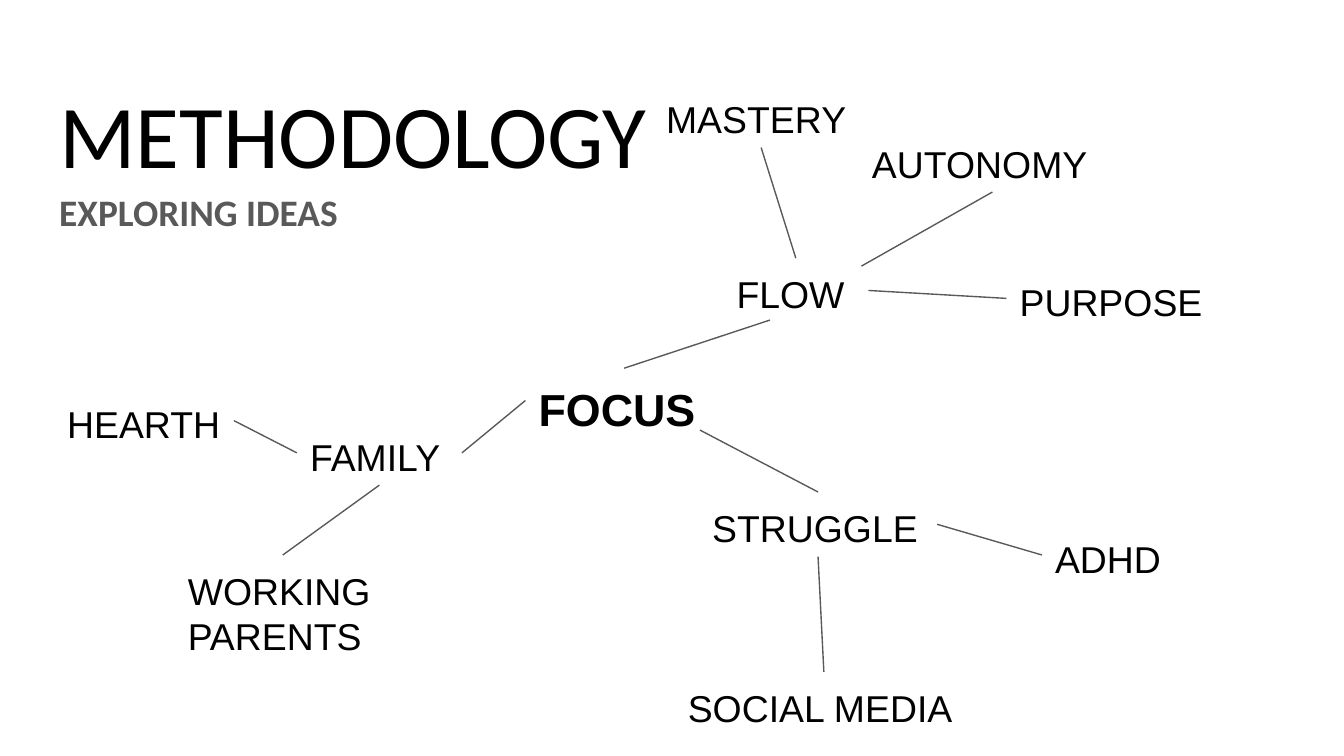
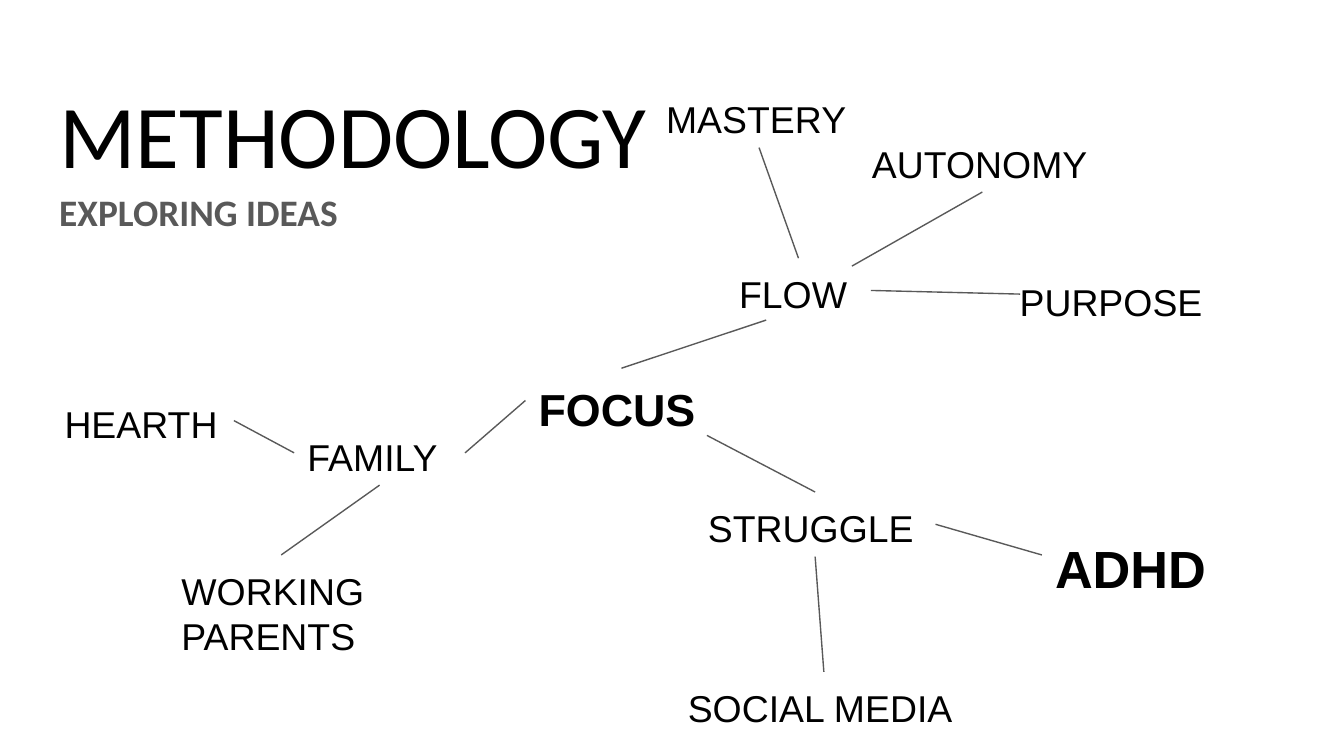
from lxml.etree import SubElement
from pptx import Presentation
from pptx.dml.color import RGBColor
from pptx.enum.shapes import MSO_CONNECTOR
from pptx.oxml.ns import qn
from pptx.util import Cm, Pt

COLORS = {"ink": "000000", "gray": "595959", "paper": "FFFFFF"}
TOP, LEFT, BOTTOM, RIGHT = range(4)


def add_label(slide, text, left, top, width, height, size, bold=False, font="Arial", color="ink"):
    label = slide.shapes.add_textbox(Cm(left), Cm(top), Cm(width), Cm(height))
    frame = label.text_frame
    frame.word_wrap = True
    frame.margin_left = frame.margin_right = Cm(0.25)
    frame.margin_top = frame.margin_bottom = Cm(0.25)
    paragraph = frame.paragraphs[0]
    paragraph.text = text
    paragraph.font.name = font
    paragraph.font.size = Pt(size)
    paragraph.font.bold = bold
    paragraph.font.color.rgb = RGBColor.from_string(COLORS[color])
    return label


def add_link(slide, ideas, start, end):
    points = [(0, 0) if isinstance(place[0], str) else place for place in (start, end)]
    link = slide.shapes.add_connector(
        MSO_CONNECTOR.STRAIGHT, *[Cm(value) for point in points for value in point])
    for place, join in ((start, link.begin_connect), (end, link.end_connect)):
        if isinstance(place[0], str):
            join(ideas[place[0]], place[1])
    link.line.color.rgb = RGBColor.from_string(COLORS["gray"])
    link.line.width = Pt(0.75)
    SubElement(link._element.spPr, qn("a:effectLst"))


idea_tops = {
    "FOCUS": 6.96, "FLOW": 4.88, "STRUGGLE": 9.3, "FAMILY": 7.95,
    "SOCIAL MEDIA": 12.7, "ADHD": 9.88, "MASTERY": 1.57, "AUTONOMY": 2.41,
    "PURPOSE": 5.03, "HEARTH": 7.34, "WORKING PARENTS": 10.49,
}
idea_heights = {"WORKING PARENTS": 2.18}

maps = [
    {
        "spans": {
            "FOCUS": (9.93, 3.73), "FLOW": (13.67, 2.74), "STRUGGLE": (13.21, 4.5),
            "FAMILY": (5.61, 3.12), "SOCIAL MEDIA": (12.75, 5.64), "ADHD": (19.69, 2.74),
            "MASTERY": (12.34, 4.09), "AUTONOMY": (16.23, 5.05), "PURPOSE": (19.02, 4.24),
            "HEARTH": (1.02, 3.4), "WORKING PARENTS": (3.3, 4.09),
        },
        "emphasis": {"FOCUS": 24},
        "below_flow": (14.55, 6.05),
        "beside_flow": (16.28, 5.03),
        "below_focus": (13.23, 8.13),
        "purpose_end": ("PURPOSE", LEFT),
    },
    {
        "spans": {
            "FOCUS": (9.93, 3.63), "FLOW": (13.72, 2.74), "STRUGGLE": (13.13, 4.55),
            "FAMILY": (5.56, 3.23), "SOCIAL MEDIA": (12.75, 5.64), "ADHD": (19.69, 4.01),
            "MASTERY": (12.34, 4.01), "AUTONOMY": (16.23, 4.67), "PURPOSE": (19.02, 4.27),
            "HEARTH": (0.97, 3.45), "WORKING PARENTS": (3.18, 4.27),
        },
        "emphasis": {"FOCUS": 24, "ADHD": 28},
        "below_flow": (14.48, 6.05),
        "beside_flow": (16.1, 5.03),
        "below_focus": (13.36, 8.23),
        "purpose_end": (19.28, 5.56),
    },
]

prs = Presentation()
prs.slide_width, prs.slide_height = Cm(25.4), Cm(14.29)

for idea_map in maps:
    slide = prs.slides.add_slide(prs.slide_layouts[6])
    slide.background.fill.solid()
    slide.background.fill.fore_color.rgb = RGBColor.from_string(COLORS["paper"])

    add_label(slide, "METHODOLOGY", 0.87, 1.24, 23.67, 1.6, 48, font="Calibri")
    subtitle = add_label(slide, "EXPLORING IDEAS", 0.87, 3.2, 23.67, 9.5, 20,
                         bold=True, font="Calibri", color="gray")
    subtitle.text_frame.paragraphs[0].line_spacing = 1.15
    subtitle.text_frame.paragraphs[0].space_after = Pt(16)

    ideas = {}
    emphasis = idea_map["emphasis"]
    for idea, (left, width) in idea_map["spans"].items():
        ideas[idea] = add_label(slide, idea, left, idea_tops[idea], width,
                                idea_heights.get(idea, 1.22),
                                emphasis.get(idea, 20), bold=idea in emphasis)

    for start, end in [
        (("FOCUS", LEFT), ("FAMILY", RIGHT)),
        (("FAMILY", BOTTOM), ("WORKING PARENTS", TOP)),
        (("FAMILY", LEFT), ("HEARTH", RIGHT)),
        (("FOCUS", TOP), idea_map["below_flow"]),
        (("FLOW", TOP), ("MASTERY", BOTTOM)),
        (idea_map["beside_flow"], ("AUTONOMY", BOTTOM)),
        (("FLOW", RIGHT), idea_map["purpose_end"]),
        (idea_map["below_focus"], ("STRUGGLE", TOP)),
        (("STRUGGLE", BOTTOM), ("SOCIAL MEDIA", TOP)),
        (("STRUGGLE", RIGHT), ("ADHD", LEFT)),
    ]:
        add_link(slide, ideas, start, end)

prs.save("out.pptx")
